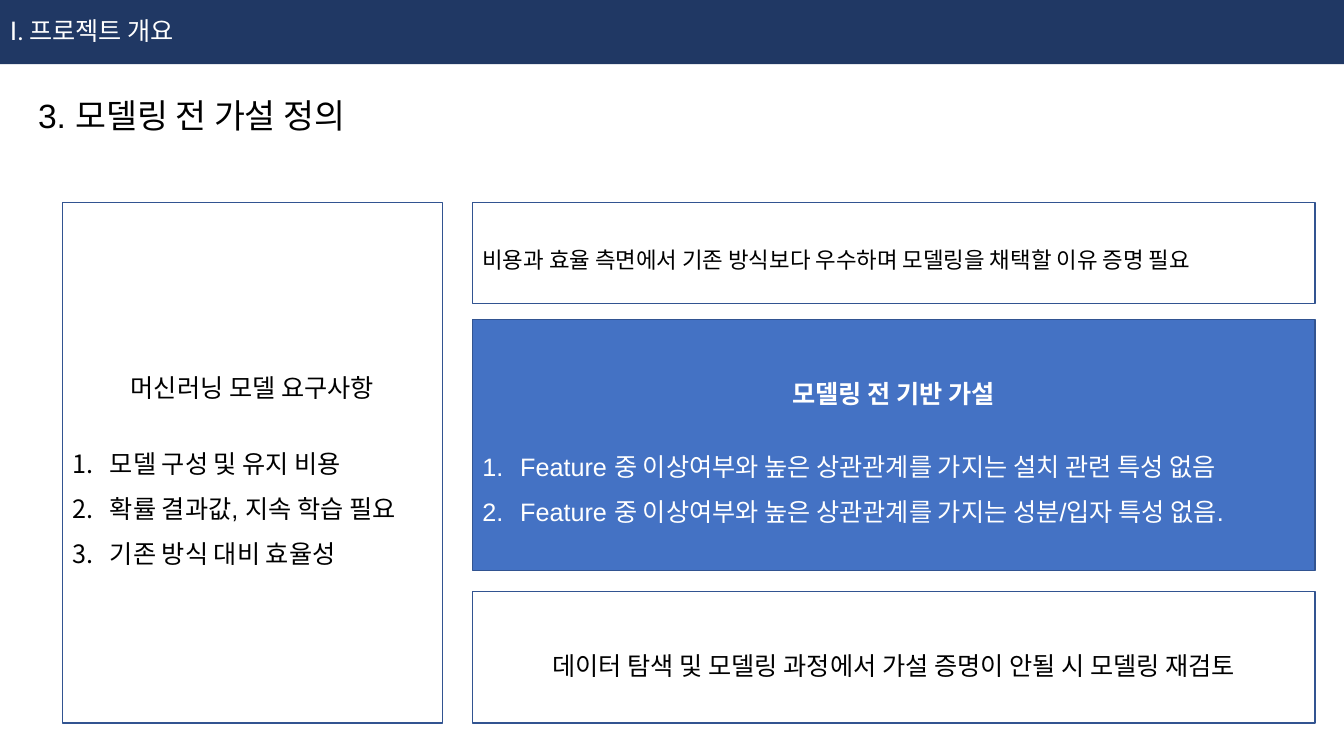
from collections import namedtuple
from dataclasses import dataclass

from lxml.etree import SubElement
from pptx import Presentation
from pptx.dml.color import RGBColor
from pptx.enum.shapes import MSO_SHAPE as Preset
from pptx.enum.text import MSO_ANCHOR as Anchor, PP_ALIGN as Align
from pptx.oxml.ns import qn
from pptx.util import Cm, Pt

Box = namedtuple("Box", "left top width height")


@dataclass(frozen=True)
class Theme:
    navy: str = "203864"
    blue: str = "4472C4"
    border: str = "325491"
    white: str = "FFFFFF"
    black: str = "000000"
    header_font: str = "Calibri"
    body_font: str = "Arial"
    title_size: int = 24
    body_size: int = 18
    note_size: int = 16


THEME = Theme()


def lengths(box):
    return [Cm(value) for value in box]


def add_panel(page, box, fill, line=None):
    panel = page.shapes.add_shape(Preset.RECTANGLE, *lengths(box))
    panel.shadow.inherit = False
    panel.fill.solid()
    panel.fill.fore_color.rgb = RGBColor.from_string(fill)
    if line:
        panel.line.color.rgb = RGBColor.from_string(line)
        panel.line.width = Pt(1)
    else:
        panel.line.fill.background()
    panel.text_frame.word_wrap = True
    panel.text_frame.vertical_anchor = Anchor.MIDDLE
    return panel.text_frame


def write(para, text, color, size=THEME.body_size, font=THEME.body_font, bold=False, **layout):
    for name, value in {"alignment": Align.LEFT, **layout}.items():
        setattr(para, name, value)
    span = para.add_run()
    span.text = text
    for name, value in {"name": font, "size": Pt(size), "bold": bold}.items():
        setattr(span.font, name, value)
    span.font.color.rgb = RGBColor.from_string(color)


def number(para):
    """Give the paragraph an automatic number and a hanging indent."""
    props = para._p.get_or_add_pPr()
    props.set("marL", str(Cm(0.95)))
    props.set("indent", str(-Cm(0.95)))
    SubElement(props, qn("a:buFont"), typeface="+mj-lt")
    SubElement(props, qn("a:buAutoNum"), type="arabicPeriod")


def write_list(frame, heading, items, color, gap, bold=False):
    write(frame.paragraphs[0], heading, color, bold=bold, alignment=Align.CENTER,
          line_spacing=1.5, space_after=Pt(gap))
    for item in items:
        para = frame.add_paragraph()
        write(para, item, color, line_spacing=1.5)
        number(para)


def add_header(page, box):
    frame = add_panel(page, box, THEME.navy)
    write(frame.paragraphs[0], "Ⅰ. 프로젝트 개요", THEME.white, font=THEME.header_font)


def add_title(page, box):
    frame = page.shapes.add_textbox(*lengths(box)).text_frame
    frame.word_wrap = True
    frame.vertical_anchor = Anchor.MIDDLE
    frame.margin_left = Cm(0.96)
    write(frame.paragraphs[0], "3. 모델링 전 가설 정의", THEME.black, THEME.title_size)


def add_requirements(page, box):
    frame = add_panel(page, box, THEME.white, THEME.border)
    items = ["모델 구성 및 유지 비용", "확률 결과값, 지속 학습 필요", "기존 방식 대비 효율성"]
    write_list(frame, "머신러닝 모델 요구사항", items, THEME.black, gap=22)


def add_hypotheses(page, box):
    """Stack the reason, the hypotheses and the review rule in one column."""
    reason = box._replace(height=2.54)
    review = box._replace(top=box.top + box.height - 3.31, height=3.31)
    middle = box._replace(top=box.top + 2.94, height=6.32)

    frame = add_panel(page, middle, THEME.blue, THEME.border)
    items = ["Feature 중 이상여부와 높은 상관관계를 가지는 설치 관련 특성 없음",
             "Feature 중 이상여부와 높은 상관관계를 가지는 성분/입자 특성 없음."]
    write_list(frame, "모델링 전 기반 가설", items, THEME.white, gap=20, bold=True)

    frame = add_panel(page, reason, THEME.white, THEME.border)
    write(frame.paragraphs[0], "비용과 효율 측면에서 기존 방식보다 우수하며 모델링을 채택할 이유 증명 필요",
          THEME.black, THEME.note_size, line_spacing=1.5)

    frame = add_panel(page, review, THEME.white, THEME.border)
    write(frame.paragraphs[0], "데이터 탐색 및 모델링 과정에서 가설 증명이 안될 시 모델링 재검토",
          THEME.black, alignment=Align.CENTER, line_spacing=1.5)


def main():
    deck = Presentation()
    deck.slide_width, deck.slide_height = Cm(33.87), Cm(19.05)
    page = deck.slides.add_slide(deck.slide_layouts[6])
    add_header(page, Box(0, -0.08, 33.87, 1.7))
    add_title(page, Box(0, 1.63, 12.07, 2.54))
    add_requirements(page, Box(1.57, 5.11, 9.58, 13.11))
    add_hypotheses(page, Box(11.91, 5.11, 21.23, 13.11))
    deck.save("out.pptx")


if __name__ == "__main__":
    main()
